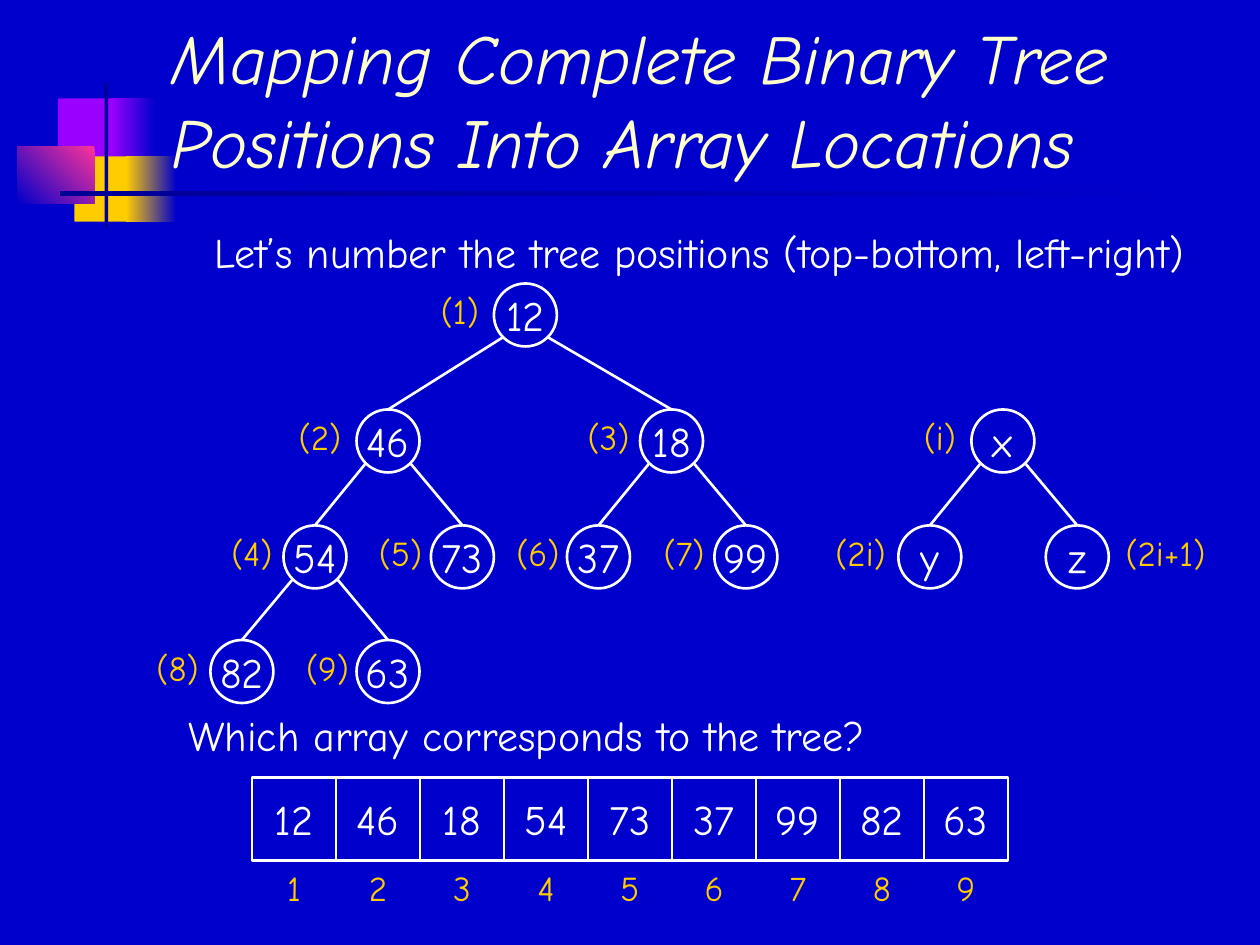
from dataclasses import dataclass

from lxml import etree
from pptx import Presentation
from pptx.dml.color import RGBColor
from pptx.enum.shapes import MSO_CONNECTOR, MSO_SHAPE
from pptx.enum.text import MSO_ANCHOR, MSO_AUTO_SIZE, PP_ALIGN
from pptx.oxml.ns import qn
from pptx.util import Inches, Pt

RECTANGLE, OVAL = MSO_SHAPE.RECTANGLE, MSO_SHAPE.OVAL
STRAIGHT = MSO_CONNECTOR.STRAIGHT
CENTER, LEFT = PP_ALIGN.CENTER, PP_ALIGN.LEFT
MIDDLE, BOTTOM = MSO_ANCHOR.MIDDLE, MSO_ANCHOR.BOTTOM
FIT_SHAPE, NO_FIT = MSO_AUTO_SIZE.SHAPE_TO_FIT_TEXT, MSO_AUTO_SIZE.NONE


@dataclass(frozen=True)
class Theme:
    font: str = "Comic Neue"
    back: RGBColor = RGBColor(0x00, 0x00, 0xCC)
    text: RGBColor = RGBColor(0xFF, 0xFF, 0xFF)
    title: RGBColor = RGBColor(0xFF, 0xFF, 0xCC)
    gold: RGBColor = RGBColor(0xFF, 0xCC, 0x00)
    purple: RGBColor = RGBColor(0x99, 0x00, 0xFF)
    pink: RGBColor = RGBColor(0xFF, 0x33, 0x99)
    navy: RGBColor = RGBColor(0x00, 0x00, 0x94)
    title_size: Pt = Pt(40)
    body_size: Pt = Pt(24)
    label_size: Pt = Pt(20)
    stroke: Pt = Pt(1.5)


THEME = Theme()
BODY = {"name": THEME.font, "size": THEME.body_size}
LABEL = {"name": THEME.font, "size": THEME.label_size}
TITLE = {"name": THEME.font, "size": THEME.title_size, "italic": True}

NODE = Inches(0.5)
LABEL_HEIGHT = Inches(0.44)
ROWS = [Inches(y) for y in (2.25, 3.25, 4.17, 5.08)]

# Each node: value, inches from the root's centre, label, label's inches from the node's centre.
# Nodes are in level order, so node n hangs under node n // 2.
NUMBER_TREE = [
    ("12", 0, "(1)", -0.52),
    ("46", -1.09, "(2)", -0.54),
    ("18", 1.16, "(3)", -0.5),
    ("54", -1.67, "(4)", -0.5),
    ("73", -0.5, "(5)", -0.49),
    ("37", 0.58, "(6)", -0.48),
    ("99", 1.75, "(7)", -0.49),
    ("82", -2.25, "(8)", -0.51),
    ("63", -1.09, "(9)", -0.48),
]
RULE_TREE = [
    ("x", 0, "(i)", -0.5),
    ("y", -0.58, "(2i)", -0.55),
    ("z", 0.59, "(2i+1)", 0.7),
]


def format_font(font, values, color):
    for name, value in values.items():
        setattr(font, name, value)
    font.color.rgb = color


def write(shape, text, values, color):
    frame = shape.text_frame
    frame.word_wrap = False
    para = frame.paragraphs[0]
    para.alignment = CENTER
    span = para.add_run()
    span.text = text
    format_font(span.font, values, color)


def add_text(page, center, top, width, height, text, values, color):
    box = page.shapes.add_textbox(center - width // 2, top, width, height)
    write(box, text, values, color)
    box.text_frame.auto_size = FIT_SHAPE


def add_line(page, start, end):
    line = page.shapes.add_connector(STRAIGHT, *start, *end)
    line.line.color.rgb = THEME.text
    line.line.width = THEME.stroke
    etree.SubElement(line._element.spPr, qn("a:effectLst"))


def add_outlined(page, kind, left, top, width, height):
    shape = page.shapes.add_shape(kind, left, top, width, height)
    shape.shadow.inherit = False
    shape.line.color.rgb = THEME.text
    shape.line.width = THEME.stroke
    return shape


def add_ornament(page, left, top):
    """Blocks and crossing bars beside the title: box, colours, gradient angle."""
    parts = [
        (0.32, 0.12, 0.48, 0.52, [THEME.purple], 0),
        (0.74, 0.12, 0.36, 0.52, [THEME.back, THEME.purple], 180),
        (0.45, 0.58, 0.46, 0.52, [THEME.gold], 0),
        (0.86, 0.58, 0.4, 0.52, [THEME.back, THEME.gold], 180),
        (0, 0.5, 0.61, 0.46, [THEME.pink, THEME.back], 225),
        (0.69, 0, 0.03, 1.15, [THEME.navy], 0),
        (0.34, 0.86, 9, 0.04, [THEME.back, THEME.navy], 180),
    ]
    for x, y, width, height, colors, angle in parts:
        block = page.shapes.add_shape(
            RECTANGLE, left + Inches(x), top + Inches(y), Inches(width), Inches(height))
        block.shadow.inherit = False
        block.line.fill.background()
        if len(colors) == 1:
            block.fill.solid()
            block.fill.fore_color.rgb = colors[0]
            continue
        block.fill.gradient()
        block.fill.gradient_angle = angle
        for stop, color in zip(block.fill.gradient_stops, colors):
            stop.color.rgb = color


def place_title(page, left, top, width, height, lines):
    title = page.shapes.title
    title.left, title.top, title.width, title.height = left, top, width, height
    frame = title.text_frame
    frame.vertical_anchor = BOTTOM
    frame.auto_size = NO_FIT
    frame.word_wrap = True
    para = frame.paragraphs[0]
    para.alignment = LEFT
    for index, line in enumerate(lines):
        if index:
            para.add_line_break()
        span = para.add_run()
        span.text = line
        format_font(span.font, TITLE, THEME.title)
    title._element.getparent().append(title._element)  # in front of the ornament


def add_tree(page, root_center, rows, nodes):
    reach = int(NODE * 0.35)  # from a node's centre to where its branches leave
    centers = [root_center + Inches(node[1]) for node in nodes]
    for number, (value, _, label, shift) in enumerate(nodes, start=1):
        center = centers[number - 1]
        top = rows[number.bit_length() - 1]
        circle = add_outlined(page, OVAL, center - NODE // 2, top, NODE, NODE)
        circle.fill.solid()
        circle.fill.fore_color.rgb = THEME.back
        circle.text_frame.vertical_anchor = MIDDLE
        write(circle, value, BODY, THEME.text)
        add_text(page, center + Inches(shift), top, Inches(0.2 + 0.12 * len(label)),
                 LABEL_HEIGHT, label, LABEL, THEME.gold)
        if number > 1:
            side = reach if number % 2 else -reach
            parent_middle = rows[number.bit_length() - 2] + NODE // 2
            add_line(page, (centers[number // 2 - 1] + side, parent_middle + reach),
                     (center, top))


def add_array(page, left, top, width, height, values):
    cell = width // len(values)
    frame = add_outlined(page, RECTANGLE, left, top, width, height)
    frame.fill.background()
    for index, value in enumerate(values):
        edge = left + index * cell
        center = edge + cell // 2
        if index:
            add_line(page, (edge, top), (edge, top + height))
        add_text(page, center, top + Inches(0.08), Inches(0.6), Inches(0.5),
                 value, BODY, THEME.text)
        add_text(page, center, top + height, Inches(0.38), LABEL_HEIGHT,
                 str(index + 1), LABEL, THEME.gold)


def main():
    deck = Presentation()
    deck.slide_width, deck.slide_height = Inches(10), Inches(7.5)
    page = deck.slides.add_slide(deck.slide_layouts.get_by_name("Title Only"))
    page.background.fill.solid()
    page.background.fill.fore_color.rgb = THEME.back

    add_ornament(page, Inches(0.14), Inches(0.66))
    place_title(page, Inches(1.26), Inches(0.25), Inches(8.52), Inches(1.25),
                ["Mapping Complete Binary Tree", "Positions Into Array Locations"])
    add_text(page, Inches(5.55), Inches(1.75), Inches(7.94), Inches(0.5),
             "Let’s number the tree positions (top-bottom, left-right)", BODY, THEME.text)
    add_tree(page, Inches(4.17), ROWS, NUMBER_TREE)
    add_tree(page, Inches(7.96), ROWS[1:], RULE_TREE)
    add_text(page, Inches(4.18), Inches(5.58), Inches(5.62), Inches(0.5),
             "Which array corresponds to the tree?", BODY, THEME.text)
    add_array(page, Inches(2), Inches(6.17), Inches(6), Inches(0.66),
              [node[0] for node in NUMBER_TREE])
    deck.save("out.pptx")


if __name__ == "__main__":
    main()
